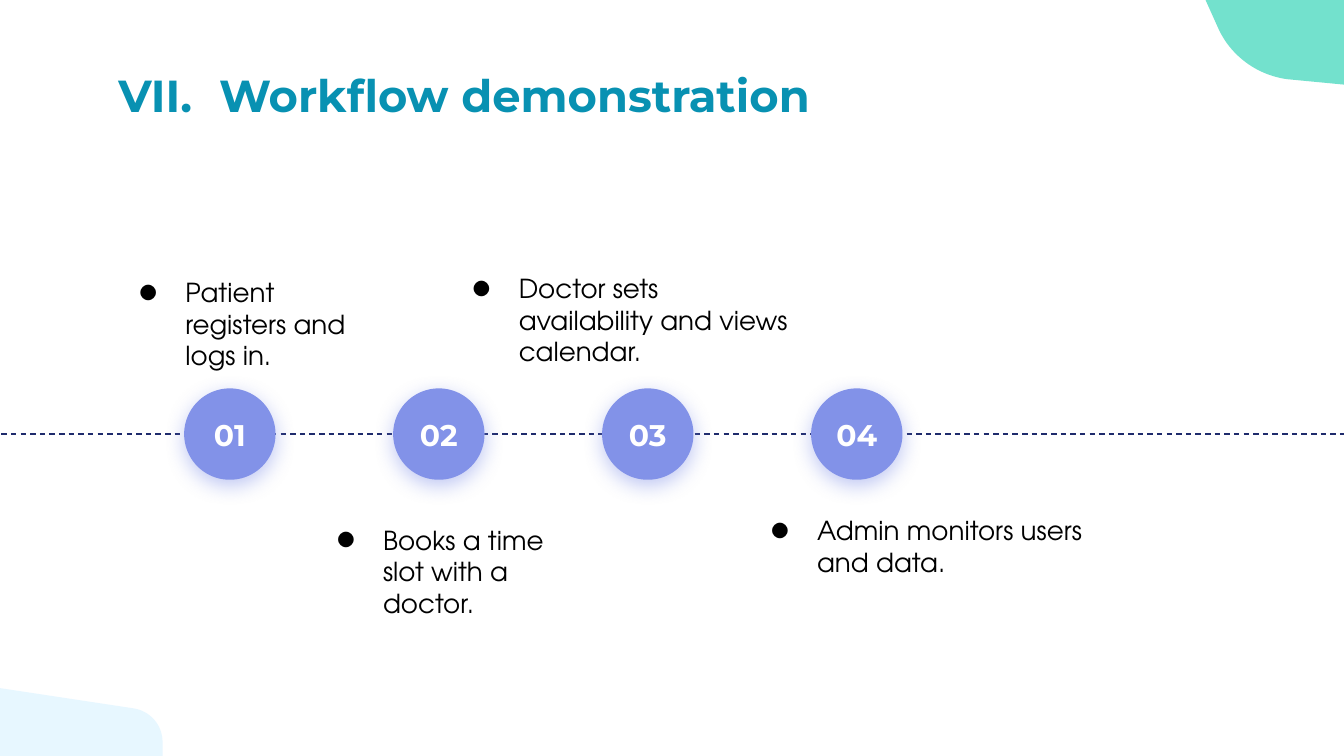
from dataclasses import dataclass

from lxml.etree import SubElement
from pptx import Presentation
from pptx.dml.color import RGBColor
from pptx.enum.dml import MSO_LINE
from pptx.enum.shapes import MSO_CONNECTOR as Connector, MSO_SHAPE as Shape
from pptx.enum.text import MSO_ANCHOR as Anchor, MSO_AUTO_SIZE as AutoSize, PP_ALIGN as Align
from pptx.oxml.ns import qn
from pptx.util import Pt

SCALE = 4572
WIDTH, HEIGHT = 2000, 1125
COMPARISON_LAYOUT = 4


@dataclass(frozen=True)
class Theme:
    title: str = "0891B2"
    body: str = "000000"
    number: str = "FFFFFF"
    circle: str = "8292E8"
    line: str = "1F2B6C"
    mint: str = "73E1CD"
    pale: str = "E7F7FF"
    heading_font: str = "Montserrat"
    body_font: str = "TeX Gyre Adventor"
    title_size: int = 24
    number_size: int = 16
    body_size: int = 14


THEME = Theme()
TITLE_FORMAT = {"name": THEME.heading_font, "size": Pt(THEME.title_size), "bold": True}
NUMBER_FORMAT = {"name": THEME.heading_font, "size": Pt(THEME.number_size), "bold": True}
BODY_FORMAT = {"name": THEME.body_font, "size": Pt(THEME.body_size), "bold": False}

STEPS = [
    ("Patient registers and logs in.", (156, 392, 430, 188)),
    ("Books a time slot with a doctor.", (450, 760, 448, 188)),
    ("Doctor sets availability and views calendar.", (652, 386, 556, 188)),
    ("Admin monitors users and data.", (1096, 746, 556, 188)),
]


def px(length):
    return round(length * SCALE)


def set_all(target, values):
    for name, value in values.items():
        setattr(target, name, value)


def place(shape, box):
    set_all(shape, dict(zip(("left", "top", "width", "height"), map(px, box))))


def write(shape, text, text_format, color, align, anchor, inset):
    frame = shape.text_frame
    sides = ("left", "top", "right", "bottom")
    set_all(frame, {f"margin_{side}": px(inset) for side in sides})
    set_all(frame, {"word_wrap": True, "auto_size": AutoSize.NONE, "vertical_anchor": anchor})
    para = frame.paragraphs[0]
    set_all(para, {"alignment": align, "space_before": Pt(0)})
    span = para.add_run()
    span.text = text
    set_all(span.font, text_format)
    span.font.color.rgb = RGBColor.from_string(color)
    return para


def add_color(parent, color):
    return SubElement(parent, qn("a:srgbClr"), val=color)


def fill_plain(shape, color):
    shape.shadow.inherit = False
    shape.fill.solid()
    shape.fill.fore_color.rgb = RGBColor.from_string(color)
    shape.line.fill.background()


def add_title(page, box):
    title = page.shapes.title
    place(title, box)
    para = write(title, "VII.\tWorkflow demonstration", TITLE_FORMAT, THEME.title,
                 Align.LEFT, Anchor.TOP, 20)
    tabs = SubElement(para._p.get_or_add_pPr(), qn("a:tabLst"))
    SubElement(tabs, qn("a:tab"), pos=str(px(150)), algn="l")


def add_step_text(holder, text, box):
    place(holder, box)
    para = write(holder, text, BODY_FORMAT, THEME.body, Align.LEFT, Anchor.TOP, 20)
    props = para._p.get_or_add_pPr()
    props.set("marL", str(px(100)))
    props.set("indent", str(px(-70)))
    add_color(SubElement(props, qn("a:buClr")), THEME.body)
    SubElement(props, qn("a:buFont"), typeface=THEME.body_font)
    SubElement(props, qn("a:buChar"), char="●")


def add_circle(page, number, box):
    circle = page.shapes.add_shape(Shape.OVAL, *map(px, box))
    fill_plain(circle, THEME.circle)
    effects = circle._element.spPr.find(qn("a:effectLst"))
    shadow = SubElement(effects, qn("a:outerShdw"), blurRad=str(Pt(11.2)),
                        dist=str(Pt(3)), dir="5400000", algn="bl", rotWithShape="0")
    SubElement(add_color(shadow, THEME.circle), qn("a:alpha"), val="50000")
    write(circle, f"{number:02d}", NUMBER_FORMAT, THEME.number, Align.CENTER, Anchor.MIDDLE, 0)


def add_timeline(page, box):
    left, top, width, height = box
    middle = px(top + height / 2)
    line = page.shapes.add_connector(Connector.STRAIGHT, px(left), middle, px(left + width), middle)
    line.line.color.rgb = RGBColor.from_string(THEME.line)
    set_all(line.line, {"width": Pt(0.75), "dash_style": MSO_LINE.DASH})
    SubElement(line._element.spPr, qn("a:effectLst"))
    for index in range(len(STEPS)):
        add_circle(page, index + 1, (left + 272 + 311 * index, top, height, height))


def curve(start, first, second, end, pieces=24):
    points = []
    for piece in range(pieces + 1):
        t = piece / pieces
        weights = ((1 - t) ** 3, 3 * t * (1 - t) ** 2, 3 * t * t * (1 - t), t ** 3)
        points.append(tuple(sum(w * p for w, p in zip(weights, axis))
                            for axis in zip(start, first, second, end)))
    return points


def add_corner(page, origin, points, color):
    left, top = origin
    outline = [(px(left + x), px(top + y)) for x, y in points]
    builder = page.shapes.build_freeform(*outline[0])
    builder.add_line_segments(outline[1:], close=True)
    fill_plain(builder.convert_to_shape(), color)


def add_corners(page):
    pale_edge = curve((242, 81), (242, 55), (224, 34), (198, 30))
    add_corner(page, (0, 1024), [(0, 0), (0, 101), (242, 101), *pale_edge], THEME.pale)
    mint_edge = curve((18, 40), (36, 82), (76, 112), (122, 118))
    add_corner(page, (1794, 0), [(206, 126), (206, 0), (0, 0), *mint_edge], THEME.mint)


def build_workflow(deck):
    page = deck.slides.add_slide(deck.slide_layouts[COMPARISON_LAYOUT])
    add_corners(page)
    add_title(page, (156, 80, 1688, 126))
    add_timeline(page, (2, 578, 1998, 136))
    for index, (text, box) in enumerate(STEPS, start=1):
        add_step_text(page.placeholders[index], text, box)


def main():
    deck = Presentation()
    set_all(deck, {"slide_width": px(WIDTH), "slide_height": px(HEIGHT)})
    build_workflow(deck)
    deck.save("out.pptx")


if __name__ == "__main__":
    main()
